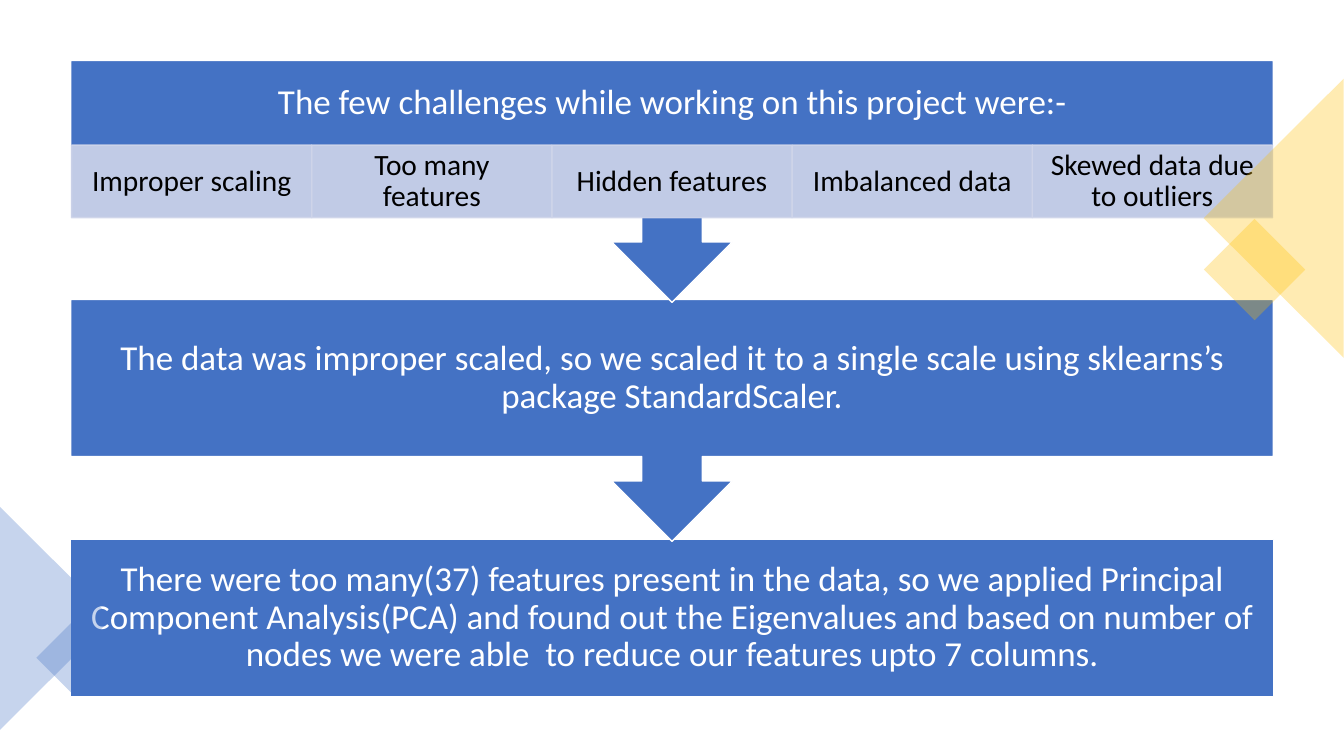
from dataclasses import dataclass

from lxml import etree
from pptx import Presentation
from pptx import util as u
from pptx.dml.color import RGBColor
from pptx.enum import shapes, text
from pptx.oxml.ns import qn
from pptx.shapes.autoshape import Shape

BLUE = RGBColor(0x44, 0x72, 0xC4)
PALE = RGBColor(0xCF, 0xD5, 0xEA)
GOLD = RGBColor(0xFF, 0xC0, 0x00)
WHITE = RGBColor(0xFF, 0xFF, 0xFF)
BLACK = RGBColor(0x00, 0x00, 0x00)

KIND = shapes.MSO_SHAPE
WIDTH, HEIGHT = u.Inches(13.333), u.Inches(7.5)


@dataclass(frozen=True)
class Area:
    left: float
    top: float
    width: float
    height: float

    def lengths(self) -> tuple[int, int, int, int]:
        return (
            round(WIDTH * self.left / 100),
            round(HEIGHT * self.top / 100),
            round(WIDTH * self.width / 100),
            round(HEIGHT * self.height / 100),
        )


@dataclass(frozen=True)
class Step:
    wording: str
    kind: KIND
    turn: int
    area: Area
    text_height: float


@dataclass(frozen=True)
class Ornament:
    kind: KIND
    area: Area
    turn: int
    color: RGBColor


LEFT, BAND = 5.25, 89.5
STEPS = [
    Step(
        "There were too many(37) features present in the data, so we applied "
        "Principal Component Analysis(PCA) and found out the Eigenvalues and based "
        "on number of nodes we were able  to reduce our features upto 7 columns.",
        KIND.RECTANGLE, 0, Area(LEFT, 71.33, BAND, 20.8), 20.8,
    ),
    Step(
        "The data was improper scaled, so we scaled it to a single scale "
        "using sklearns’s package StandardScaler.",
        KIND.UP_ARROW_CALLOUT, 180, Area(LEFT, 39.6, BAND, 32), 20.8,
    ),
    Step(
        "The few challenges while working on this project were:-",
        KIND.UP_ARROW_CALLOUT, 180, Area(LEFT, 8, BAND, 32), 11.2,
    ),
]
CHALLENGES = [
    "Improper scaling",
    "Too many features",
    "Hidden features",
    "Imbalanced data",
    "Skewed data due to outliers",
]
CELLS = Area(5.33, 19.2, 17.87, 9.6)
ORNAMENTS = [
    Ornament(KIND.RECTANGLE, Area(90.68, 30.93, 5.33, 9.47), 45, GOLD),
    Ornament(KIND.ISOSCELES_TRIANGLE, Area(84.38, 19.6, 20.78, 18.53), 270, GOLD),
    Ornament(KIND.ISOSCELES_TRIANGLE, Area(-4.13, 74.4, 16.58, 14.8), 90, BLUE),
    Ornament(KIND.RECTANGLE, Area(3.53, 83.47, 3.97, 7.07), 45, BLUE),
]


def set_opacity(fill_parent: etree._Element, percent: int) -> None:
    color = fill_parent.find(qn("a:solidFill"))[0]
    etree.SubElement(color, qn("a:alpha"), val=str(percent * 1000))


def add_block(
    page, kind: KIND, area: Area, color: RGBColor, turn: int = 0,
    outline: RGBColor | None = None, opacity: int = 100,
) -> Shape:
    block = page.shapes.add_shape(kind, *area.lengths())
    block.rotation = turn
    block.shadow.inherit = False
    block.fill.solid()
    block.fill.fore_color.rgb = color
    properties = block.element.spPr
    if opacity < 100:
        set_opacity(properties, opacity)
    if outline is None:
        block.line.fill.background()
    else:
        block.line.color.rgb = outline
        block.line.width = u.Pt(1)
        if opacity < 100:
            set_opacity(properties.find(qn("a:ln")), opacity)
    return block


def write(
    box: Shape, wording: str, size: int, color: RGBColor, side: float, edge: float
) -> None:
    frame = box.text_frame
    frame.text = wording
    frame.word_wrap = True
    frame.auto_size = text.MSO_AUTO_SIZE.NONE
    frame.vertical_anchor = text.MSO_ANCHOR.MIDDLE
    frame.margin_left = frame.margin_right = u.Inches(side)
    frame.margin_top = frame.margin_bottom = u.Inches(edge)
    para = frame.paragraphs[0]
    para.alignment = text.PP_ALIGN.CENTER
    para.line_spacing = 0.9
    para.font.name = "Calibri"
    para.font.size = u.Pt(size)
    para.font.color.rgb = color


def add_step(page, step: Step, is_title: bool) -> None:
    block = add_block(page, step.kind, step.area, BLUE, step.turn, WHITE)
    place = Area(step.area.left, step.area.top, step.area.width, step.text_height)
    if is_title:
        box = page.shapes.title
        box.left, box.top, box.width, box.height = place.lengths()
        block.element.addnext(box.element)
    else:
        box = page.shapes.add_textbox(*place.lengths())
    write(box, step.wording, 25, WHITE, 0.19, 0.19)


def main() -> None:
    deck = Presentation()
    deck.slide_width, deck.slide_height = WIDTH, HEIGHT
    page = deck.slides.add_slide(deck.slide_layouts.get_by_name("Title Only"))

    for step in STEPS:
        add_step(page, step, is_title=step is STEPS[-1])

    for column, challenge in enumerate(CHALLENGES):
        left = CELLS.left + column * CELLS.width
        area = Area(left, CELLS.top, CELLS.width, CELLS.height)
        cell = add_block(page, KIND.RECTANGLE, area, PALE, outline=PALE, opacity=90)
        write(cell, challenge, 21, BLACK, 0.16, 0.03)

    for ornament in ORNAMENTS:
        add_block(
            page, ornament.kind, ornament.area, ornament.color, ornament.turn, opacity=30
        )

    deck.save("out.pptx")


if __name__ == "__main__":
    main()
